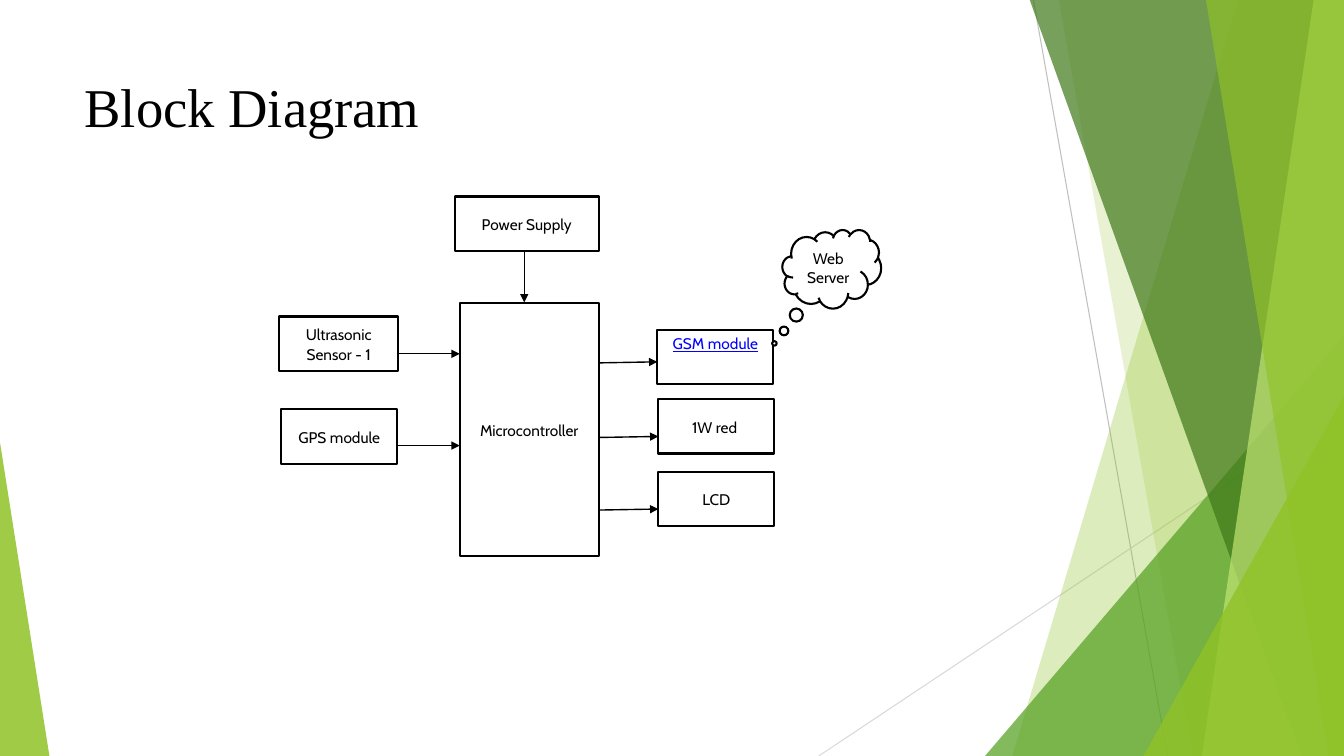
from pptx import Presentation
from pptx.dml.color import RGBColor
from pptx.enum.shapes import MSO_CONNECTOR, MSO_SHAPE
from pptx.enum.text import MSO_ANCHOR, PP_ALIGN
from pptx.oxml.ns import qn
from pptx.util import Pt
from lxml import etree

PX = 9144  # EMU per px, 100 px to the inch
WIDE, HIGH = 1333, 750
RECT, CLOUD = MSO_SHAPE.RECTANGLE, MSO_SHAPE.CLOUD_CALLOUT
WEDGE, LINE = MSO_SHAPE.ISOSCELES_TRIANGLE, MSO_CONNECTOR.STRAIGHT
TOP, MID = MSO_ANCHOR.TOP, MSO_ANCHOR.MIDDLE
LEFT, MIDDLE = PP_ALIGN.LEFT, PP_ALIGN.CENTER

BLACK = RGBColor(0x00, 0x00, 0x00)
WHITE = RGBColor(0xFF, 0xFF, 0xFF)
BLUE = RGBColor(0x00, 0x00, 0xFF)
GRAY = RGBColor(0xBF, 0xBF, 0xBF)
PALE = RGBColor(0xD9, 0xD9, 0xD9)
GREEN = RGBColor(0x90, 0xC2, 0x26)
LEAF = RGBColor(0x54, 0xA0, 0x21)
MOSS = RGBColor(0x3F, 0x78, 0x19)
LIME = RGBColor(0xC0, 0xE4, 0x74)


def px(*nums):
    return [n * PX for n in nums]


def write(shape, text, size=11, font="Cabin", color=BLACK, align=MIDDLE,
          anchor=MID, under=False, space=1.07, after=8, inset=5):
    frame = shape.text_frame
    frame.word_wrap = True
    frame.vertical_anchor = anchor
    frame.margin_top = inset * PX
    para = frame.paragraphs[0]
    para.alignment = align
    para.line_spacing = space
    para.space_after = Pt(after)
    run = para.add_run()
    run.text = text
    run.font.size = Pt(size)
    run.font.name = font
    run.font.color.rgb = color
    if under:
        run.font.underline = True


def paint(shape, color, alpha=100, edge=None):
    shape.shadow.inherit = False
    shape.fill.solid()
    shape.fill.fore_color.rgb = color
    if alpha < 100:
        tint = shape._element.spPr.find(qn("a:solidFill") + "/" + qn("a:srgbClr"))
        etree.SubElement(tint, qn("a:alpha"), val=str(alpha * 1000))
    if edge is None:
        shape.line.fill.background()
    else:
        shape.line.color.rgb = edge
        shape.line.width = Pt(1.5)


def link(slide, ends, color, width, arrow=False):
    line = slide.shapes.add_connector(LINE, *px(*ends))
    line.line.color.rgb = color
    line.line.width = Pt(width)
    if arrow:
        etree.SubElement(line.line._get_or_add_ln(), qn("a:tailEnd"), type="triangle")
    etree.SubElement(line._element.spPr, qn("a:effectLst"))


def band(slide, box, tip, foot, color, alpha):
    """Facet from a top and a bottom point out to the right edge."""
    x, y, w, h = box
    top, low, edge = y - 1, y + h, x + w
    path = slide.shapes.build_freeform(x + tip, top, scale=PX)
    path.add_line_segments([(edge, top), (edge, low), (x + foot, low)])
    paint(path.convert_to_shape(), color, alpha)


def wedge(slide, box, left, top, width, peak, color, alpha):
    """Triangle standing on the bottom edge."""
    x, y, w, h = box
    shape = slide.shapes.add_shape(WEDGE, *px(x + left, y + top, width, h - top))
    shape.adjustments[0] = peak
    paint(shape, color, alpha)


def facets(slide, box):
    x, y, w, h = box
    # Thin lines
    link(slide, (x + 1025, y, x + 1158, y + h), GRAY, 0.75)
    link(slide, (x + w, y + 403, x + 812, y + h), PALE, 0.75)
    # Bands and wedges, back to front
    for draw, *parts in (
        (band, 1228, 1004, GREEN, 30),
        (band, 1050, 1183, GREEN, 20),
        (wedge, 977, 333, 356, 1, LEAF, 72),
        (band, 1021, 1291, MOSS, 70),
        (band, 1303, 1192, LIME, 70),
        (band, 1196, 1318, GREEN, 65),
        (wedge, 1134, 393, 199, 1, GREEN, 80),
        (wedge, 0, 439, 49, 0, GREEN, 85),
    ):
        draw(slide, box, *parts)


def title(slide, box):
    shape = slide.shapes.add_textbox(*px(*box))
    write(shape, "Block Diagram", size=39, font="Times New Roman",
          align=LEFT, anchor=TOP, space=1, after=0)


def block(slide, kind, box, text, **look):
    shape = slide.shapes.add_shape(kind, *px(*box))
    paint(shape, WHITE, edge=BLACK)
    write(shape, text, **look)
    return shape


def chart(slide, box):
    x, y = box[:2]
    # Blocks
    for left, top, wide, high, text, look in (
        (179, 106, 138, 251, "Microcontroller", {}),
        (174, 0, 143, 54, "Power Supply", {}),
        (375, 132, 115, 54, "GSM module",
         dict(color=BLUE, under=True, anchor=TOP, inset=3)),
        (0, 119, 118, 54, "Ultrasonic Sensor - 1", {}),
        (2, 211, 115, 54, "GPS module", {}),
        (376, 201, 115, 54, "1W red ", {}),
        (376, 273, 115, 54, "LCD", {}),
    ):
        block(slide, RECT, (x + left, y + top, wide, high), text, **look)
    # Arrows
    for x1, y1, x2, y2 in (
        (118, 156, 179, 156),
        (118, 247, 179, 247),
        (243, 54, 243, 105),
        (317, 165, 375, 164),
        (318, 239, 376, 238),
        (318, 311, 376, 310),
    ):
        link(slide, (x + x1, y + y1, x + x2, y + y2), BLACK, 1, arrow=True)
    # Cloud
    cloud = block(slide, CLOUD, (x + 499, y + 33, 98, 78), "Web Server")
    cloud.adjustments[0] = -0.581
    cloud.adjustments[1] = 0.945


def main():
    deck = Presentation()
    deck.slide_width, deck.slide_height = px(WIDE, HIGH)
    slide = deck.slides.add_slide(deck.slide_layouts[6])
    facets(slide, (0, 0, WIDE, HIGH))
    title(slide, (74, 67, 940, 144))
    chart(slide, (277, 195, 597, 357))
    deck.save("out.pptx")


if __name__ == "__main__":
    main()
